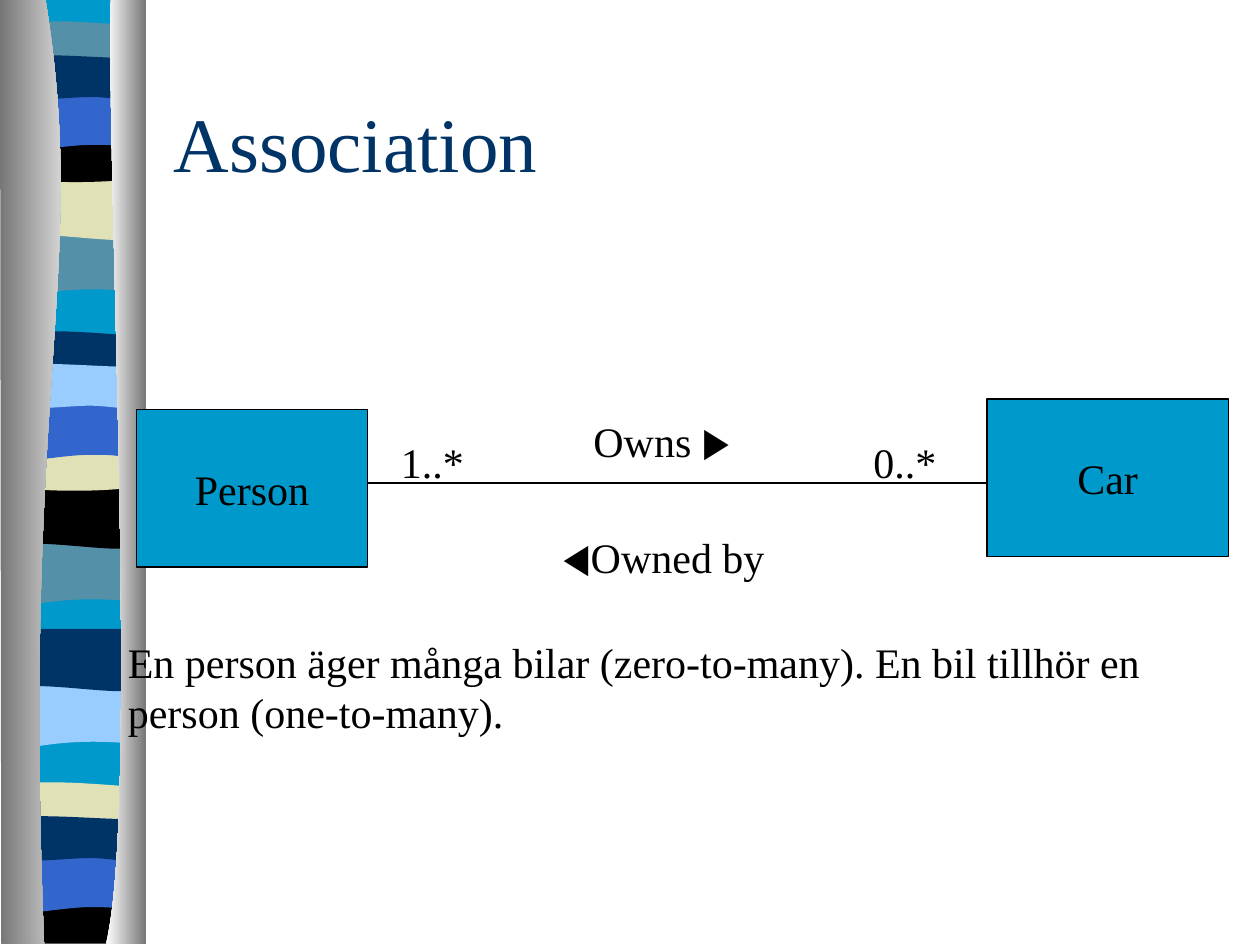
from dataclasses import dataclass

from lxml import etree
from pptx import Presentation
from pptx import util as u
from pptx.dml.color import RGBColor
from pptx.enum import shapes, text
from pptx.oxml import ns

Point = tuple[float, float]
Segment = tuple[Point, ...]  # one point: straight; three points: cubic Bézier


@dataclass(frozen=True)
class Theme:
    serif: str = "Times New Roman"
    sans: str = "Arial"
    title_size: int = 44
    body_size: int = 24
    black: str = "000000"
    navy: str = "003366"
    cyan: str = "0099CC"
    teal: str = "5490A8"
    sand: str = "E1E1B7"
    blue: str = "3366CC"
    sky: str = "99CCFF"
    grey: str = "767676"
    white: str = "FFFFFF"


THEME = Theme()


@dataclass(frozen=True)
class Band:
    outline: list[Segment]
    left: float
    top: float
    colour: str


@dataclass(frozen=True)
class ClassBox:
    name: str
    left: float
    top: float
    width: float


@dataclass(frozen=True)
class Label:
    runs: tuple[tuple[str, str], ...]
    left: float
    top: float
    width: float
    height: float = 0.5
    space_before: int = 15
    centred: bool = False
    wrap: bool = True


# Band outlines, relative to the band's left and top
WIDTH = 1.08
WAVE = [((WIDTH, 0),), ((WIDTH, 0.47),), ((0.33, 0.39), (0.18, 0.55), (0, 0.47)), ((0, 0),)]
SAG = [((WIDTH, 0),), ((WIDTH, 0.47),), ((0.9, 0.55), (0.33, 0.41), (0, 0.47)), ((0, 0),)]
ARCH = [((WIDTH, 0),), ((WIDTH, 0.47),), ((0.91, 0.41), (0.84, 0.41), (0.66, 0.41)),
        ((0.48, 0.41), (0.16, 0.47), (0, 0.47)), ((0, 0),)]
CAP = [((WIDTH, 0.05),), ((WIDTH, 0.29),), ((0.9, 0.33), (0.18, 0.33), (0, 0.29)), ((0, 0.05),),
       ((0.06, 0), (0.23, 0.01), (0.41, 0.01)), ((0.59, 0.01), (0.94, 0.04), (WIDTH, 0.05))]
LENS = [((WIDTH, 0),), ((WIDTH, 0.32),), ((0.9, 0.38), (0.18, 0.38), (0, 0.32)), ((0, 0),),
        ((0.66, 0.05), (0.85, 0), (WIDTH, 0))]
FOOT = [((WIDTH, 0),), ((WIDTH, 0.37),), ((0, 0.37),), ((0, 0),),
        ((0.66, 0.05), (0.85, 0), (WIDTH, 0))]
RIBBON = [((WIDTH, 0.05),), ((WIDTH, 0.36),), ((1.01, 0.41), (0.84, 0.36), (0.66, 0.36)),
          ((0.48, 0.36), (0.11, 0.41), (0, 0.36)), ((0, 0.05),),
          ((0.15, 0), (0.73, 0.05), (0.91, 0.05)), ((1.09, 0.05), (1.04, 0.05), (WIDTH, 0.05))]
BACKING = [((WIDTH, 0),), ((WIDTH, 7.48),), ((0, 7.48),), ((0, 0),)]

BANDS = [
    Band(BACKING, 0.06, -0.01, THEME.cyan),
    Band(WAVE, 0.06, 1.85, THEME.teal),
    Band(SAG, 0.06, 1.41, THEME.sand),
    Band(CAP, 0.06, 0.16, THEME.teal),
    Band(LENS, 0.06, 1.08, THEME.black),
    Band(ARCH, 0.06, 0.74, THEME.blue),
    Band(RIBBON, 0.06, 0.41, THEME.navy),
    Band(WAVE, 0.05, 4.31, THEME.teal),
    Band(SAG, 0.05, 3.86, THEME.black),
    Band(CAP, 0.05, 2.62, THEME.navy),
    Band(LENS, 0.05, 3.53, THEME.sand),
    Band(ARCH, 0.05, 3.2, THEME.blue),
    Band(RIBBON, 0.05, 2.86, THEME.sky),
    Band(WAVE, 0.06, 5.44, THEME.sky),
    Band(SAG, 0.06, 4.99, THEME.navy),
    Band(CAP, 0.05, 6.2, THEME.sand),
    Band(FOOT, 0.05, 7.12, THEME.black),
    Band(ARCH, 0.05, 6.79, THEME.blue),
    Band(RIBBON, 0.05, 6.45, THEME.navy),
]

LEFT_SHEEN = [((0.36, -0.01),), ((0.71, 2.16), (0.17, 2.96), (0.35, 7.49)),
              ((0.01, 7.49),), ((0, -0.01),)]
RIGHT_SHEEN = [((0.88, -0.01),), ((0.84, 1.25), (1.11, 6.46), (0.84, 7.49)),
               ((1.16, 7.49),), ((1.16, 0),)]

# The diagram sits on a grid of twelfths of an inch
BOXES = [ClassBox("Person", 13 / 12, 3.25, 22 / 12), ClassBox("Car", 94 / 12, 38 / 12, 23 / 12)]
LABELS = [
    Label((("Owns ", THEME.serif), ("▶", THEME.sans)), 50 / 12, 3.25, 26 / 12, centred=True),
    Label((("◀", THEME.sans), ("Owned by", THEME.serif)), 4.37, 50 / 12, 1.84,
          space_before=0, wrap=False),
    Label((("1..*", THEME.serif),), 37 / 12, 41 / 12, 13 / 12),
    Label((("0..*", THEME.serif),), 82 / 12, 41 / 12, 13 / 12),
    Label((("En person äger många bilar (zero-to-many). "
            "En bil tillhör en person (one-to-many).", THEME.serif),), 11 / 12, 5, 109 / 12, 0.9),
]


def rgb(colour: str) -> RGBColor:
    return RGBColor.from_string(colour)


def add_outline(group, outline: list[Segment], left: float = 0, top: float = 0):
    """Draw a closed outline, turning each three-point segment into a curve."""
    points = [(u.Inches(left + x), u.Inches(top + y)) for segment in outline for x, y in segment]
    builder = group.shapes.build_freeform(*points[0])
    builder.add_line_segments(points[1:], close=True)
    shape = builder.convert_to_shape()
    lines = iter(list(shape._element.iter(ns.qn("a:lnTo"))))
    for segment in outline[1:]:
        parts = [next(lines) for _ in segment]
        if len(parts) == 3:
            curve = etree.Element(ns.qn("a:cubicBezTo"))
            parts[0].addprevious(curve)
            for part in parts:
                curve.append(part[0])
                part.getparent().remove(part)
    shape.shadow.inherit = False
    shape.line.fill.background()
    return shape


def add_band(group, band: Band) -> None:
    shape = add_outline(group, band.outline, band.left, band.top)
    shape.fill.solid()
    shape.fill.fore_color.rgb = rgb(band.colour)


def add_sheen(group, outline: list[Segment], colours: tuple[str, str]) -> None:
    fill = add_outline(group, outline).fill
    fill.gradient()
    fill.gradient_angle = 0
    for stop, colour in zip(fill.gradient_stops, colours):
        stop.color.rgb = rgb(colour)


def add_ribbon_to_master(slide, master) -> None:
    """Build the striped ribbon as one group and place it behind the master's placeholders."""
    group = slide.shapes.add_group_shape()
    for band in BANDS:
        add_band(group, band)
    add_sheen(group, LEFT_SHEEN, (THEME.grey, THEME.white))
    add_sheen(group, RIGHT_SHEEN, (THEME.white, THEME.grey))
    for number, properties in enumerate(group._element.iter(ns.qn("p:cNvPr")), start=100):
        properties.set("id", str(number))
    master.shapes._spTree.insert(2, group._element)


def add_run(paragraph, words: str, font_name: str = THEME.serif,
            size: int = THEME.body_size, colour: str = THEME.black) -> None:
    run = paragraph.add_run()
    run.text = words
    run.font.name = font_name
    run.font.size = u.Pt(size)
    run.font.color.rgb = rgb(colour)


def add_class_box(slide, box: ClassBox) -> None:
    shape = slide.shapes.add_shape(shapes.MSO_SHAPE.RECTANGLE, u.Inches(box.left),
                                   u.Inches(box.top), u.Inches(box.width), u.Inches(1.25))
    shape.shadow.inherit = False
    shape.fill.solid()
    shape.fill.fore_color.rgb = rgb(THEME.cyan)
    shape.line.color.rgb = rgb(THEME.black)
    shape.line.width = u.Pt(0.75)
    shape.text_frame.word_wrap = False
    shape.text_frame.vertical_anchor = text.MSO_ANCHOR.MIDDLE
    paragraph = shape.text_frame.paragraphs[0]
    paragraph.alignment = text.PP_ALIGN.CENTER
    add_run(paragraph, box.name)


def add_association(slide, start: float, end: float, height: float) -> None:
    line = slide.shapes.add_connector(shapes.MSO_CONNECTOR.STRAIGHT, u.Inches(start),
                                      u.Inches(height), u.Inches(end), u.Inches(height))
    line.line.color.rgb = rgb(THEME.black)
    line.line.width = u.Pt(0.75)
    etree.SubElement(line._element.spPr, ns.qn("a:effectLst"))


def add_label(slide, label: Label) -> None:
    frame = slide.shapes.add_textbox(u.Inches(label.left), u.Inches(label.top),
                                     u.Inches(label.width), u.Inches(label.height)).text_frame
    frame.word_wrap = label.wrap
    frame.auto_size = text.MSO_AUTO_SIZE.SHAPE_TO_FIT_TEXT
    paragraph = frame.paragraphs[0]
    paragraph.alignment = text.PP_ALIGN.CENTER if label.centred else text.PP_ALIGN.LEFT
    paragraph.space_before = u.Pt(label.space_before)
    for words, font_name in label.runs:
        add_run(paragraph, words, font_name)


def set_title(slide, words: str) -> None:
    title = slide.shapes.title
    title.left, title.top, title.width, title.height = map(u.Inches, (1.28, 0.5, 8.5, 1.25))
    title.text_frame.vertical_anchor = text.MSO_ANCHOR.MIDDLE
    paragraph = title.text_frame.paragraphs[0]
    paragraph.alignment = text.PP_ALIGN.LEFT
    add_run(paragraph, words, size=THEME.title_size, colour=THEME.navy)


def main() -> None:
    presentation = Presentation()
    presentation.slide_width, presentation.slide_height = u.Inches(10), u.Inches(7.5)
    slide = presentation.slides.add_slide(presentation.slide_layouts[5])
    add_ribbon_to_master(slide, presentation.slide_master)
    set_title(slide, "Association")
    for box in BOXES:
        add_class_box(slide, box)
    add_association(slide, 35 / 12, 94 / 12, 46 / 12)
    for label in LABELS:
        add_label(slide, label)
    presentation.save("out.pptx")


if __name__ == "__main__":
    main()
